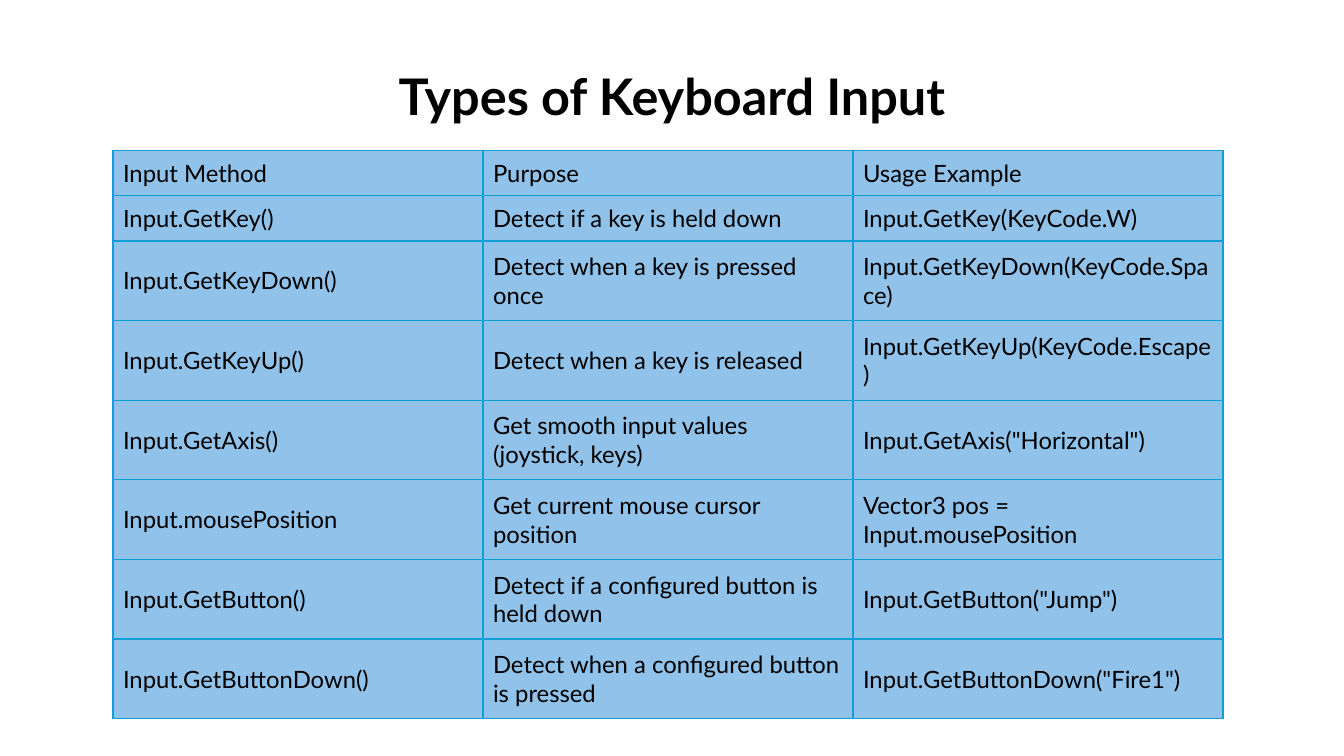
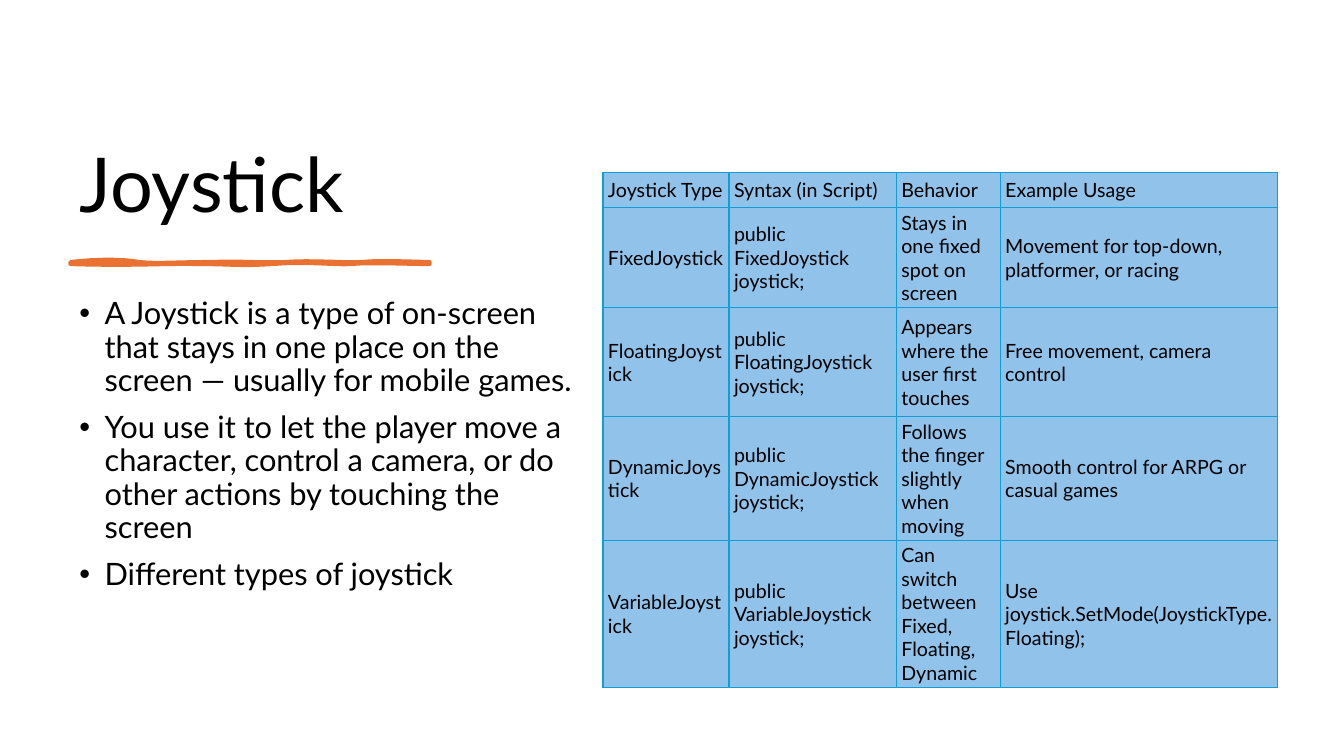
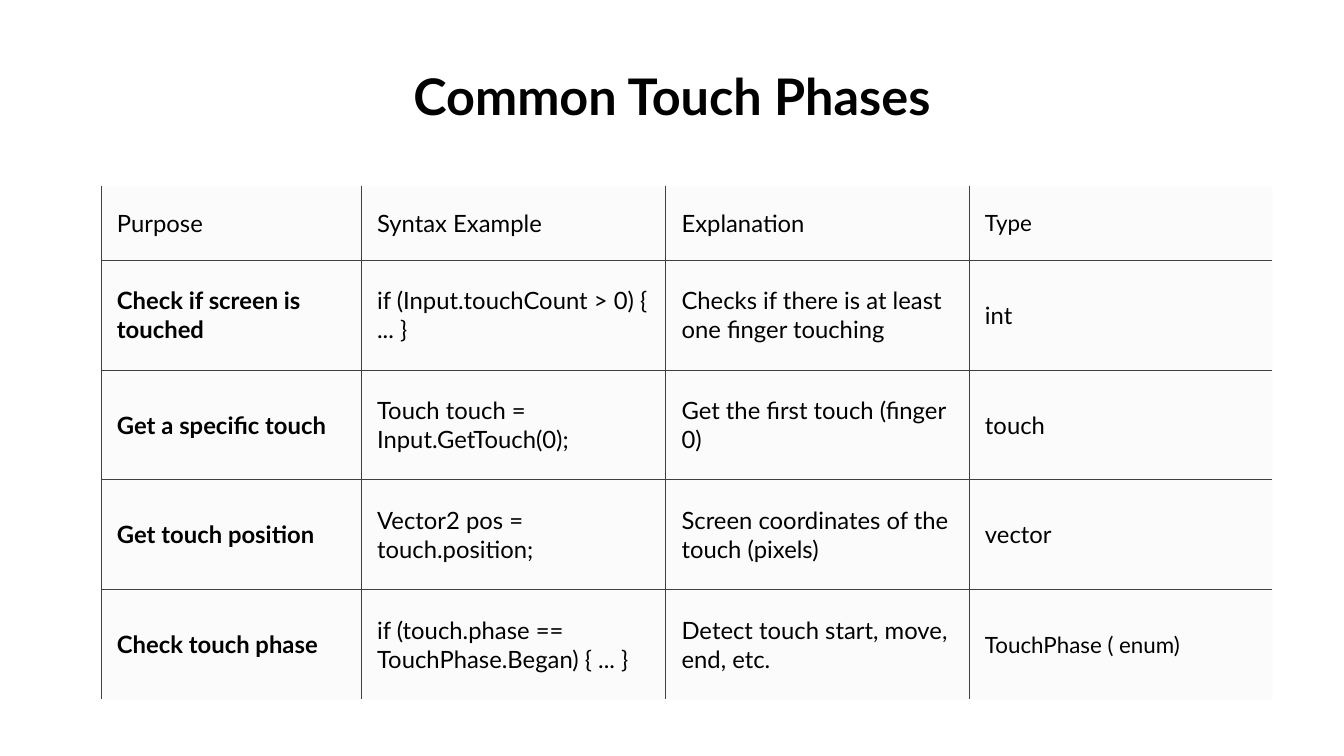
from lxml.etree import SubElement
from pptx import Presentation
from pptx.dml.color import RGBColor
from pptx.enum.text import MSO_ANCHOR, PP_ALIGN
from pptx.oxml.ns import qn
from pptx.util import Pt

PX = 9144  # 100 px to the inch
FONT = "Lato"
HUES = {"ink": "000000", "blue": "90C2EA", "edge": "0F9ED5",
        "grey": "F2F2F2", "rule": "404040", "mark": "E97132"}
PLAIN = "{2D5ABB26-0587-4C30-8999-92F81FD0307C}"  # table style without grid


def write(par, text, size, bold=False, **form):
    run = par.add_run()
    run.text = text
    for key, val in {"name": FONT, "size": Pt(size), "bold": bold}.items():
        setattr(run.font, key, val)
    run.font.color.rgb = RGBColor.from_string(HUES["ink"])
    for key, val in form.items():
        setattr(par, key, val)


def frame(slide, box):
    text = slide.shapes.add_textbox(*[n * PX for n in box]).text_frame
    text.word_wrap = True
    return text


# Content
main = {"box": (189, 55, 955, 75), "size": 36, "bold": True, "align": PP_ALIGN.CENTER}
heads = [
    {"text": "Types of Keyboard Input", **main},
    {"text": "Joystick", "box": (69, 70, 527, 162),
     "size": 54, "bold": False, "align": PP_ALIGN.LEFT},
    {"text": "Common Touch Phases", **main},
]

kinds = ["Fixed", "Floating", "Dynamic", "Variable"]
acts = ["Stays in one fixed spot on screen",
        "Appears where the user first touches",
        "Follows the finger slightly when moving",
        "Can switch between Fixed, Floating, Dynamic"]
uses = ["Movement for top-down, platformer, or racing",
        "Free movement, camera control",
        "Smooth control for ARPG or casual games",
        "Use joystick.SetMode(JoystickType.Floating);"]

blue = {"fill": "blue", "alpha": 100, "edge": "edge", "width": 1,
        "open": False, "small": [], "lead": False}
grey = {"fill": "grey", "alpha": 30, "edge": "rule", "width": 0.5,
        "open": True, "small": [(0, 3), (4, 3)], "lead": True}
grids = [
    {"at": (112, 149), "cols": [367] * 3, "rows": [45] * 2 + [79] * 6,
     "pad": (10, 5, 10, 5), "size": 17, **blue,
     "cells": [
         ["Input Method", "Purpose", "Usage Example"],
         ["Input.GetKey()", "Detect if a key is held down", "Input.GetKey(KeyCode.W)"],
         ["Input.GetKeyDown()", "Detect when a key is pressed once",
          "Input.GetKeyDown(KeyCode.Space)"],
         ["Input.GetKeyUp()", "Detect when a key is released",
          "Input.GetKeyUp(KeyCode.Escape)"],
         ["Input.GetAxis()", "Get smooth input values (joystick, keys)",
          'Input.GetAxis("Horizontal")'],
         ["Input.mousePosition", "Get current mouse cursor position",
          "Vector3 pos = Input.mousePosition"],
         ["Input.GetButton()", "Detect if a configured button is held down",
          'Input.GetButton("Jump")'],
         ["Input.GetButtonDown()", "Detect when a configured button is pressed",
          'Input.GetButtonDown("Fire1")']]},
    {"at": (598, 171), "cols": [125, 166, 103, 275], "rows": [35, 98, 108, 122, 145],
     "pad": (5, 3, 5, 3), "size": 14, **blue,
     "cells": [["Joystick Type", "Syntax (in Script)", "Behavior", "Example Usage"]]
     + [[f"{kind}Joystick", f"public {kind}Joystick joystick;", act, use]
        for kind, act, use in zip(kinds, acts, uses)]},
    {"at": (100, 185), "cols": [258, 302, 301, 301], "rows": [73] + [109] * 4,
     "pad": (16, 12, 12, 12), "size": 17, **grey,
     "cells": [
         ["Purpose", "Syntax Example", "Explanation", "Type"],
         ["Check if screen is touched", "if (Input.touchCount > 0) { ... }",
          "Checks if there is at least one finger touching", "int"],
         ["Get a specific touch", "Touch touch = Input.GetTouch(0);",
          "Get the first touch (finger 0)", "touch"],
         ["Get touch position", "Vector2 pos = touch.position;",
          "Screen coordinates of the touch (pixels)", "vector"],
         ["Check touch phase", "if (touch.phase == TouchPhase.Began) { ... }",
          "Detect touch start, move, end, etc.", "TouchPhase ( enum)"]]},
]

points = [
    "A Joystick is a type of on-screen that stays in one place on the screen — "
    "usually for mobile games.",
    "You use it to let the player move a character, control a camera, or do other "
    "actions by touching the screen",
    "Different types of joystick",
]

deck = Presentation()
deck.slide_width, deck.slide_height = 1333 * PX, 750 * PX

# Titles and tables
for head, grid in zip(heads, grids):
    slide = deck.slides.add_slide(deck.slide_layouts[6])
    text = frame(slide, head["box"])
    text.vertical_anchor = MSO_ANCHOR.BOTTOM
    write(text.paragraphs[0], head["text"], head["size"], head["bold"],
          alignment=head["align"], line_spacing=0.9)

    cols, rows = grid["cols"], grid["rows"]
    box = (*grid["at"], sum(cols), sum(rows))
    table = slide.shapes.add_table(len(rows), len(cols), *[n * PX for n in box]).table
    table.first_row = table.horz_banding = False
    table._tbl.tblPr.find(qn("a:tableStyleId")).text = PLAIN
    for col, wide in zip(table.columns, cols):
        col.width = wide * PX
    for row, tall in zip(table.rows, rows):
        row.height = tall * PX

    sides = ["left", "top", "right", "bottom"]
    for r, line in enumerate(grid["cells"]):
        for c, words in enumerate(line):
            cell = table.cell(r, c)
            cell.vertical_anchor = MSO_ANCHOR.MIDDLE
            for side, pad in zip(sides, grid["pad"]):
                setattr(cell, f"margin_{side}", pad * PX)
            size = 16 if (r, c) in grid["small"] else grid["size"]
            write(cell.text_frame.paragraphs[0], words, size,
                  grid["lead"] and c == 0 and r > 0)

            # Borders come before the fill; an open grid keeps only its left edge
            props = cell._tc.get_or_add_tcPr()
            shut = not grid["open"]
            drawn = {"L": True, "R": shut or c < len(cols) - 1,
                     "T": shut or r > 0, "B": shut or r < len(rows) - 1}
            for side, shown in drawn.items():
                edge = SubElement(props, qn(f"a:ln{side}"), w=str(int(Pt(grid["width"]))))
                if shown:
                    paint = SubElement(edge, qn("a:solidFill"))
                    SubElement(paint, qn("a:srgbClr"), val=HUES[grid["edge"]])
                else:
                    SubElement(edge, qn("a:noFill"))
            paint = SubElement(props, qn("a:solidFill"))
            tone = SubElement(paint, qn("a:srgbClr"), val=HUES[grid["fill"]])
            if grid["alpha"] < 100:
                SubElement(tone, qn("a:alpha"), val=str(grid["alpha"] * 1000))

# Joystick bullets
slide = deck.slides[1]
text = frame(slide, (69, 291, 527, 388))
for n, point in enumerate(points):
    par = text.add_paragraph() if n else text.paragraphs[0]
    write(par, point, 22, line_spacing=0.9, space_before=Pt(10))
    props = par._p.get_or_add_pPr()
    for key, val in {"marL": 25, "indent": -25}.items():
        props.set(key, str(val * PX))
    SubElement(props, qn("a:buFont"), typeface="Arial")
    SubElement(props, qn("a:buChar"), char="•")

# Hand-drawn stroke: Bezier knots and handles, sampled into short lines
curve = [(70, 260), (97, 257), (121, 257), (138, 260), (155, 262), (177, 260), (209, 260),
         (241, 259), (260, 261), (284, 260), (308, 258), (339, 261), (359, 260),
         (379, 258), (412, 260), (426, 260), (426, 260), (426, 261), (426, 262),
         (408, 262), (364, 260), (348, 262), (332, 263), (304, 259), (270, 262),
         (235, 264), (231, 262), (199, 262), (166, 261), (132, 264), (70, 262)]
steps = 8
dots = []
for k in range(0, len(curve) - 1, 3):
    for step in range(1, steps + 1):
        t = step / steps
        parts = ((1 - t) ** 3, 3 * t * (1 - t) ** 2, 3 * t * t * (1 - t), t ** 3)
        dots.append(tuple(round(sum(w * p[axis] for w, p in zip(parts, curve[k:k + 4])) * PX)
                          for axis in (0, 1)))
pen = slide.shapes.build_freeform(70 * PX, 260 * PX)
pen.add_line_segments(dots, close=True)
stroke = pen.convert_to_shape()
stroke.shadow.inherit = False
stroke.fill.solid()
stroke.fill.fore_color.rgb = stroke.line.color.rgb = RGBColor.from_string(HUES["mark"])
stroke.line.width = Pt(3)
SubElement(stroke._element.spPr.find(qn("a:ln")), qn("a:round"))

deck.save("out.pptx")
